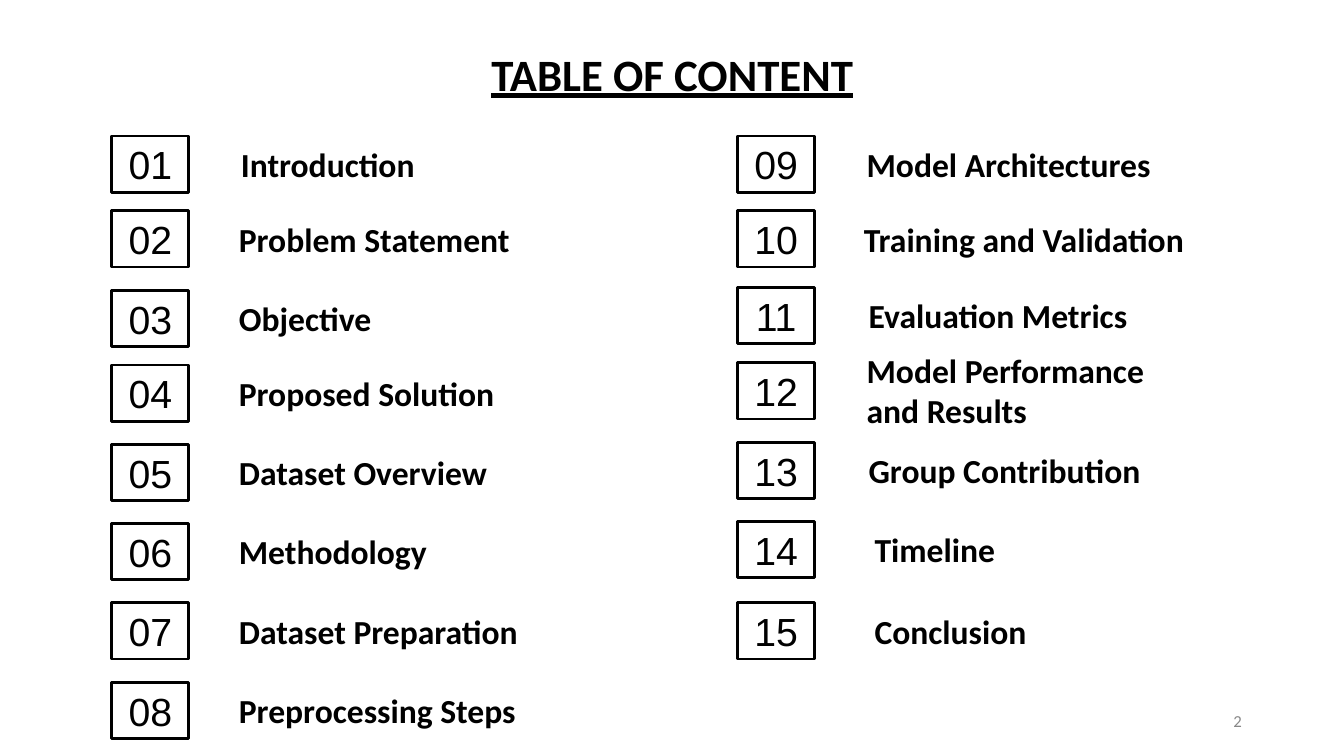
import pptx
import pptx.dml.color
import pptx.enum.shapes
import pptx.enum.text
import pptx.util

Cm = pptx.util.Cm
Pt = pptx.util.Pt
ALIGN = pptx.enum.text.PP_ALIGN
ANCHOR = pptx.enum.text.MSO_ANCHOR
AUTO_SIZE = pptx.enum.text.MSO_AUTO_SIZE

BLACK = pptx.dml.color.RGBColor(0x00, 0x00, 0x00)
WHITE = pptx.dml.color.RGBColor(0xFF, 0xFF, 0xFF)
GREY = pptx.dml.color.RGBColor(0x88, 0x88, 0x88)

# Content, lengths in cm
TITLE = "TABLE OF CONTENT"
PAGE_NUMBER = "2"
# Each column: left of its number boxes, then (label, box top, label left)
COLUMNS = [
    (2.82, [
        ("Introduction", 3.43, 4.55),
        ("Problem Statement", 5.31, 4.5),
        ("Objective", 7.32, 4.5),
        ("Proposed Solution", 9.2, 4.5),
        ("Dataset Overview", 11.2, 4.5),
        ("Methodology", 13.19, 4.5),
        ("Dataset Preparation", 15.19, 4.5),
        ("Preprocessing Steps", 17.2, 4.5),
    ]),
    (18.59, [
        ("Model Architectures", 3.43, 20.32),
        ("Training and Validation", 5.31, 20.25),
        ("Evaluation Metrics", 7.24, 20.37),
        ("Model Performance and Results", 9.14, 20.32),
        ("Group Contribution", 11.15, 20.37),
        ("Timeline", 13.14, 20.52),
        ("Conclusion", 15.19, 20.52),
    ]),
]
BOX_WIDTH, BOX_HEIGHT = 1.94, 1.42
LABEL_WIDTH, LABEL_HEIGHT = 9.5, 1.28
WIDER_LABELS = {"Training and Validation": 10.62}
TALLER_LABELS = {"Model Performance and Results": 2.31}
LABEL_INDENT = 1.27


def write(shape, text, font_name, size, color, align, bold=False):
    """Put one formatted paragraph in a shape and return the paragraph."""
    frame = shape.text_frame
    frame.word_wrap = True
    frame.text = text
    paragraph = frame.paragraphs[0]
    paragraph.alignment = align
    font = paragraph.font
    font.name, font.size, font.bold = font_name, Pt(size), bold
    font.color.rgb = color
    return paragraph


def add_number(slide, number, left, top):
    box = slide.shapes.add_shape(
        pptx.enum.shapes.MSO_SHAPE.RECTANGLE,
        Cm(left), Cm(top), Cm(BOX_WIDTH), Cm(BOX_HEIGHT))
    box.shadow.inherit = False
    box.fill.solid()
    box.fill.fore_color.rgb = WHITE
    box.line.color.rgb = BLACK
    box.line.width = Pt(2)
    box.text_frame.vertical_anchor = ANCHOR.MIDDLE
    write(box, f"{number:02d}", "Arial", 28, BLACK, ALIGN.CENTER)


def add_label(slide, text, left, box_top):
    width = WIDER_LABELS.get(text, LABEL_WIDTH)
    height = TALLER_LABELS.get(text, LABEL_HEIGHT)
    top = box_top + (BOX_HEIGHT - height) / 2  # centred on its number box
    label = slide.shapes.add_textbox(Cm(left), Cm(top), Cm(width), Cm(height))
    label.text_frame.auto_size = AUTO_SIZE.SHAPE_TO_FIT_TEXT
    paragraph = write(label, text, "Calibri", 24, BLACK, ALIGN.LEFT, bold=True)
    properties = paragraph._p.get_or_add_pPr()
    properties.set("marL", str(Cm(LABEL_INDENT)))
    properties.set("indent", "0")


def main():
    presentation = pptx.Presentation()
    presentation.slide_width = Cm(33.87)
    presentation.slide_height = Cm(19.05)
    slide = presentation.slides.add_slide(presentation.slide_layouts[5])

    # Title
    title = slide.shapes.title
    title.left, title.top = Cm(10.8), Cm(1.04)
    title.width, title.height = Cm(12.29), Cm(1.63)
    title.text_frame.vertical_anchor = ANCHOR.TOP
    title.text_frame.auto_size = AUTO_SIZE.SHAPE_TO_FIT_TEXT
    paragraph = write(title, TITLE, "Calibri", 32, BLACK, ALIGN.CENTER, bold=True)
    paragraph.font.underline = True

    # Numbered entries, counted down the left column and on down the right
    number = 0
    for box_left, entries in COLUMNS:
        for text, box_top, label_left in entries:
            number += 1
            add_number(slide, number, box_left, box_top)
            add_label(slide, text, label_left, box_top)

    # Page number
    footer = slide.shapes.add_textbox(Cm(23.93), Cm(17.65), Cm(7.62), Cm(1.02))
    footer.text_frame.vertical_anchor = ANCHOR.MIDDLE
    write(footer, PAGE_NUMBER, "Calibri", 12, GREY, ALIGN.RIGHT)

    presentation.save("out.pptx")


if __name__ == "__main__":
    main()
